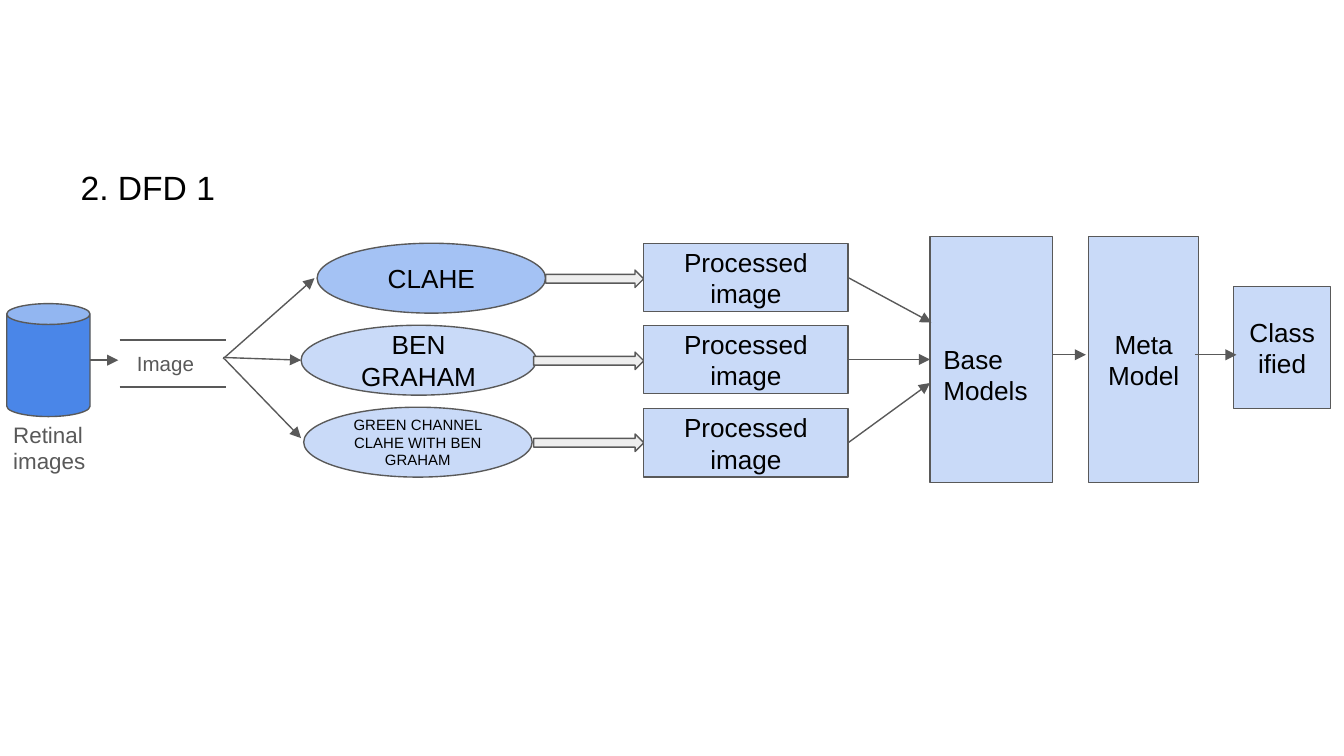
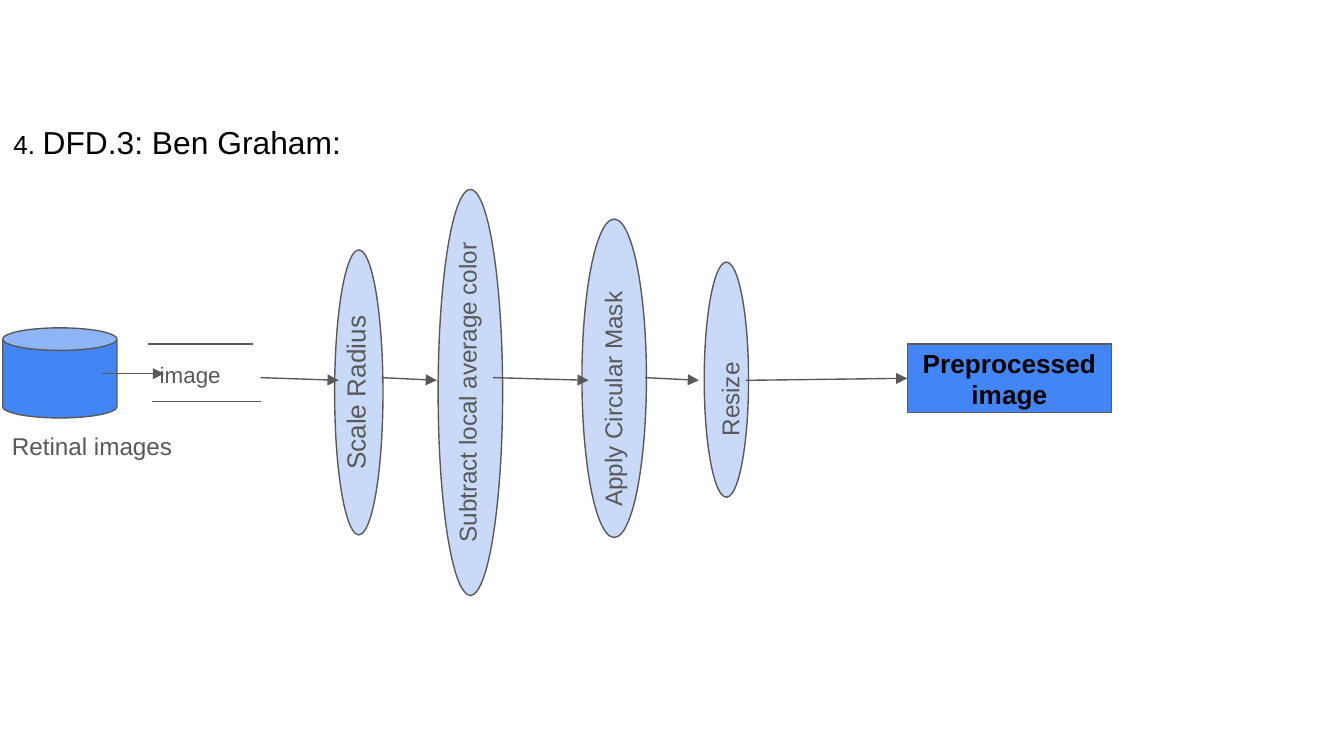
from dataclasses import dataclass

from lxml.etree import SubElement
from pptx import Presentation
from pptx.dml.color import RGBColor as Rgb
from pptx.enum.shapes import MSO_CONNECTOR as Wire, MSO_SHAPE as Shape
from pptx.enum.text import MSO_ANCHOR as Anchor, MSO_AUTO_SIZE as Fit, PP_ALIGN as Align
from pptx.oxml.ns import qn
from pptx.util import Emu, Pt

LEFT, RIGHT = 1, 3


@dataclass(frozen=True)
class Theme:
    """Colours, font and type sizes shared by the slides."""
    font: str = "Arial"
    ink: str = "000000"
    grey: str = "595959"
    pale: str = "C9DAF8"
    sky: str = "A4C2F4"
    royal: str = "4A86E8"
    bright: str = "4285F4"
    silver: str = "EEEEEE"
    heading: int = 18
    subheading: int = 17
    body: int = 14
    label: int = 13
    note: int = 12
    small: int = 11
    tiny: int = 8
    stroke: float = 0.75
    inset: int = 10


def px(length):
    """Turn px into EMU at 100 px to the inch."""
    return Emu(length * 9144)


class Diagram:
    """Draws styled elements on the current slide."""

    def __init__(self, theme):
        self.theme = theme
        self.deck = Presentation()
        self.deck.slide_width = px(1000)
        self.deck.slide_height = px(1000) * 9 // 16
        self.page = None

    def start_page(self, area, spans, indent=0, spacing=1.0):
        """Add a slide and set its title from (text, size) spans."""
        self.page = self.deck.slides.add_slide(self.deck.slide_layouts[5])
        title = self.page.shapes.title
        title.left, title.top, title.width, title.height = map(px, area)
        para = self.prepare(title.text_frame, Anchor.TOP).paragraphs[0]
        para._p.get_or_add_pPr().set("marL", str(px(indent)))
        para.alignment, para.line_spacing = Align.LEFT, spacing
        for text, size in spans:
            self.add_span(para, text, size, self.theme.ink)

    def prepare(self, frame, anchor, drop=0):
        """Set wrapping, anchor and insets, with extra inset on top."""
        frame.word_wrap, frame.auto_size = True, Fit.NONE
        frame.vertical_anchor = anchor
        frame.margin_left = frame.margin_right = frame.margin_bottom = px(self.theme.inset)
        frame.margin_top = px(self.theme.inset + drop)
        return frame

    def add_span(self, para, text, size, color, bold=False):
        """Append one formatted run to a paragraph."""
        span = para.add_run()
        span.text = text
        font = span.font
        font.name, font.size, font.bold = self.theme.font, Pt(size), bold
        font.color.rgb = Rgb.from_string(color)

    def node(self, kind, area, fill, text="", size=None, bold=False,
             align=Align.CENTER, drop=0):
        """Add a filled shape with one paragraph per line of text."""
        shape = self.page.shapes.add_shape(kind, *map(px, area))
        shape.shadow.inherit = False
        shape.fill.solid()
        shape.fill.fore_color.rgb = Rgb.from_string(fill)
        self.outline(shape)
        frame = self.prepare(shape.text_frame, Anchor.MIDDLE, drop)
        for number, line in enumerate(text.splitlines()):
            para = frame.add_paragraph() if number else frame.paragraphs[0]
            para.alignment = align
            self.add_span(para, line, size or self.theme.body, self.theme.ink, bold)
        return shape

    def outline(self, shape):
        """Give a shape or connector the common stroke."""
        shape.line.color.rgb = Rgb.from_string(self.theme.grey)
        shape.line.width = Pt(self.theme.stroke)

    def label(self, area, text, size, indent=0, rotation=0):
        """Add a grey text box."""
        box = self.page.shapes.add_textbox(*map(px, area))
        box.rotation = rotation
        para = self.prepare(box.text_frame, Anchor.TOP).paragraphs[0]
        para._p.get_or_add_pPr().set("indent", str(px(indent)))
        self.add_span(para, text, size, self.theme.grey)

    def line(self, start, end, arrow=True, source=None, target=None):
        """Add a line, joined to a source's right or a target's left side."""
        wire = self.page.shapes.add_connector(Wire.STRAIGHT, *map(px, start + end))
        if source:
            wire.begin_connect(source, RIGHT)
        if target:
            wire.end_connect(target, LEFT)
        self.outline(wire)
        if arrow:
            SubElement(wire.line._get_or_add_ln(), qn("a:tailEnd"), type="triangle")
        SubElement(wire._element.spPr, qn("a:effectLst"))


def build_overview(diagram):
    """Draw the level 1 flow from retinal images to the class."""
    theme = diagram.theme
    diagram.start_page((0, 110, 1000, 374), [("2. DFD 1", theme.heading)], 50, 1.15)
    base = diagram.node(Shape.RECTANGLE, (692, 176, 91, 183), theme.pale,
                        "Base\nModels", align=Align.LEFT, drop=22)
    filters = [
        ("CLAHE", 236, 170, theme.sky, theme.body, 406, "Processed image",
         (166, 267), (234, 207), (693, 240)),
        ("BEN GRAHAM", 224, 175, theme.pale, theme.body, 397, "Processed image",
         (166, 266), (224, 268), (692, 268)),
        ("GREEN CHANNEL CLAHE WITH BEN GRAHAM", 226, 170, theme.pale, theme.tiny, 397,
         "Processed\nimage", (167, 267), (224, 326), (692, 285)),
    ]
    for row, (name, left, width, fill, size, tail, result,
              fork, entry, merge) in enumerate(filters):
        top = 181 + 61 * row
        diagram.node(Shape.OVAL, (left, top, width, 52), fill, name, size)
        diagram.node(Shape.RIGHT_ARROW, (tail, top + 20, 479 - tail, 13), theme.silver)
        processed = diagram.node(Shape.RECTANGLE, (479, 181 + 123 * row // 2, 152, 51),
                                 theme.pale, result)
        diagram.line(fork, entry)
        diagram.line((631, top + 26), merge, source=processed,
                     target=base if row == 1 else None)
    diagram.node(Shape.RECTANGLE, (810, 176, 82, 183), theme.pale, "Meta Model")
    diagram.node(Shape.RECTANGLE, (918, 213, 72, 91), theme.pale, "Classified")
    for start, end in ((783, 808), (889, 920)):
        diagram.line((start, 264), (end, 264))
    diagram.node(Shape.CAN, (5, 226, 62, 84), theme.royal)
    diagram.label((0, 303, 128, 52), "Retinal images", theme.note)
    for height in (253, 288):
        diagram.line((89, height), (168, height), arrow=False)
    diagram.line((67, 268), (88, 268))
    diagram.label((92, 251, 73, 23), "Image", theme.small)


def build_ben_graham(diagram):
    """Draw the level 3 flow of the Ben Graham steps."""
    theme = diagram.theme
    diagram.start_page((0, 81, 932, 374), [("4. ", theme.body),
                                           ("DFD.3: Ben Graham:", theme.subheading)])
    diagram.label((-1, 311, 235, 31), "Retinal images", theme.label)
    preprocessed = diagram.node(Shape.RECTANGLE, (675, 256, 152, 51), theme.bright,
                                "Preprocessed image", bold=True)
    steps = [
        ("Scale Radius", theme.body, 50, (249, 186, 36, 212), (117, 252, 283, 32)),
        ("Subtract local average color", theme.label, 0, (326, 141, 48, 302),
         (179, 234, 327, 32)),
        ("Apply Circular Mask", theme.label, 10, (433, 163, 48, 237), (322, 251, 259, 33)),
        ("Resize", theme.label, 50, (524, 195, 33, 175), (425, 268, 214, 19)),
    ]
    for name, size, indent, oval, area in steps:
        diagram.node(Shape.OVAL, oval, theme.pale)
        diagram.label(area, name, size, indent, rotation=270)
    for start, end in ((194, 252), (284, 325), (367, 438), (480, 520)):
        diagram.line((start, 281), (end, 283))
    diagram.line((555, 283), (675, 281), target=preprocessed)
    diagram.node(Shape.CAN, (2, 244, 85, 67), theme.bright)
    for left, right, height in ((110, 188, 256), (113, 194, 299)):
        diagram.line((left, height), (right, height), arrow=False)
    diagram.label((109, 259, 85, 19), "image", theme.note)
    diagram.line((76, 278), (122, 278))


def main():
    """Build and save the deck."""
    diagram = Diagram(Theme())
    build_overview(diagram)
    build_ben_graham(diagram)
    diagram.deck.save("out.pptx")


if __name__ == "__main__":
    main()
